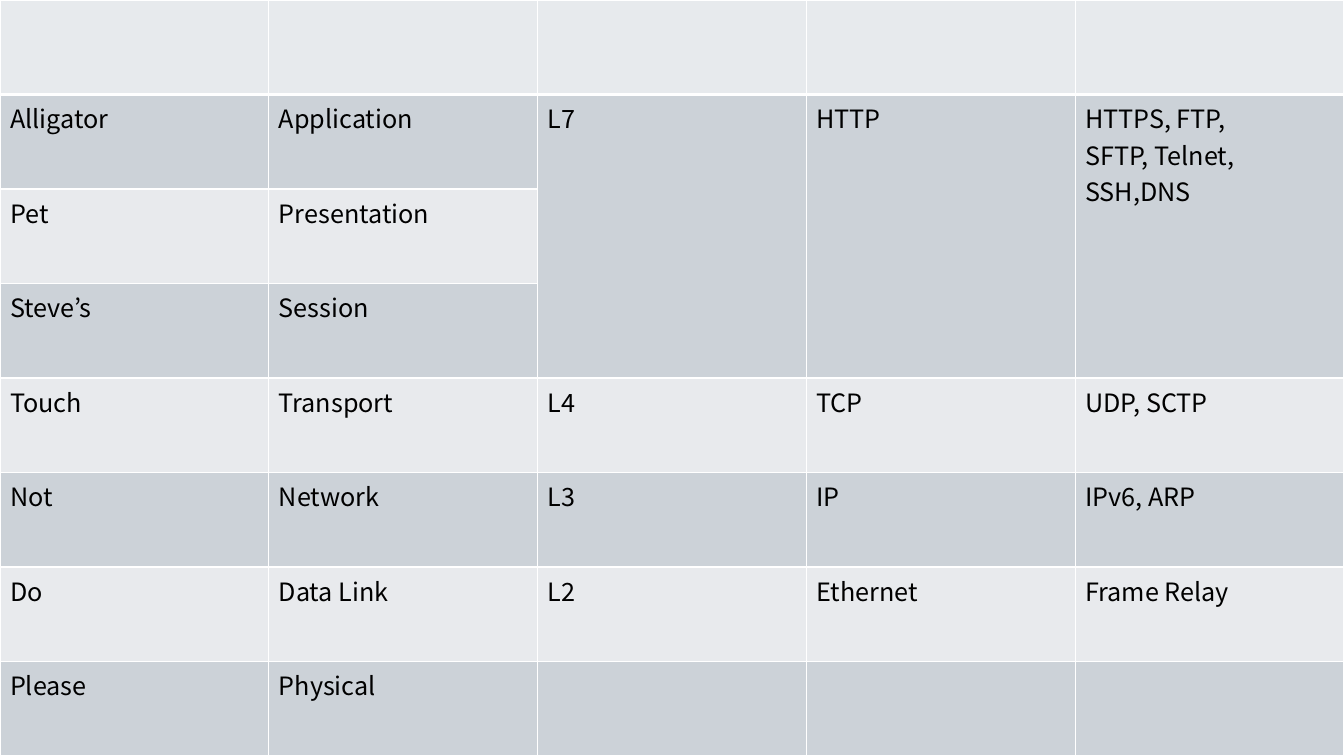
import pptx
import pptx.util
import pptx.dml.color
import pptx.oxml

# Content: mnemonic, layer, level, main protocol, others
ROWS = [
    ("", "", "", "", ""),
    ("Alligator", "Application", "L7", "HTTP", "HTTPS, FTP,\nSFTP, Telnet,\nSSH,DNS"),
    ("Pet", "Presentation", "", "", ""),
    ("Steve’s", "Session", "", "", ""),
    ("Touch", "Transport", "L4", "TCP", "UDP, SCTP"),
    ("Not", "Network", "L3", "IP", "IPv6, ARP"),
    ("Do", "Data Link", "L2", "Ethernet", "Frame Relay"),
    ("Please", "Physical", "", "", ""),
]
MERGE = {"top": 1, "end": 3, "cols": (2, 3, 4)}
WIDE, HIGH = 13.33, 7.5
THEME = {
    "font": "Noto Sans CJK KR", "size": 18, "ink": "000000",
    "head": "E7EAED", "bands": ("E8EAED", "CCD2D8"),
    "line": "FFFFFF", "thin": 1, "thick": 3,
}

Inches, Pt = pptx.util.Inches, pptx.util.Pt
color = pptx.dml.color.RGBColor.from_string
FORMAT = {"name": THEME["font"], "size": Pt(THEME["size"]), "bold": False}


def edge(cell, side, width):
    cell._tc.get_or_add_tcPr().append(pptx.oxml.parse_xml(
        f'<a:ln{side} xmlns:a="http://schemas.openxmlformats.org/drawingml/2006/main"'
        f' w="{Pt(width)}"><a:solidFill><a:srgbClr val="{THEME["line"]}"/>'
        f'</a:solidFill></a:ln{side}>'))


def style(cell, row):
    # Borders come before the fill in the cell properties
    heavy = {"T": row == 1, "B": row == 0}
    for side in "LRTB":
        edge(cell, side, THEME["thick" if heavy.get(side) else "thin"])
    cell.fill.solid()
    cell.fill.fore_color.rgb = color(THEME["bands"][row % 2] if row else THEME["head"])


def write(cell, text):
    cell.text = text
    for para in cell.text_frame.paragraphs:
        for key, value in FORMAT.items():
            setattr(para.font, key, value)
        for run in para.runs:
            for key, value in FORMAT.items():
                setattr(run.font, key, value)
            run.font.color.rgb = color(THEME["ink"])


def main():
    deck = pptx.Presentation()
    deck.slide_width, deck.slide_height = Inches(WIDE), Inches(HIGH)
    slide = deck.slides.add_slide(deck.slide_layouts[6])

    # Table over the whole slide, with equal rows and columns
    table = slide.shapes.add_table(
        len(ROWS), len(ROWS[0]), 0, 0, Inches(WIDE), Inches(HIGH)).table
    for col in table.columns:
        col.width = Inches(WIDE / len(ROWS[0]))
    for line in table.rows:
        line.height = Inches(HIGH / len(ROWS))

    # Cells
    for row, texts in enumerate(ROWS):
        for col, text in enumerate(texts):
            cell = table.cell(row, col)
            style(cell, row)
            write(cell, text)

    # The top three layers share one level
    for col in MERGE["cols"]:
        table.cell(MERGE["top"], col).merge(table.cell(MERGE["end"], col))

    deck.save("out.pptx")


if __name__ == "__main__":
    main()
